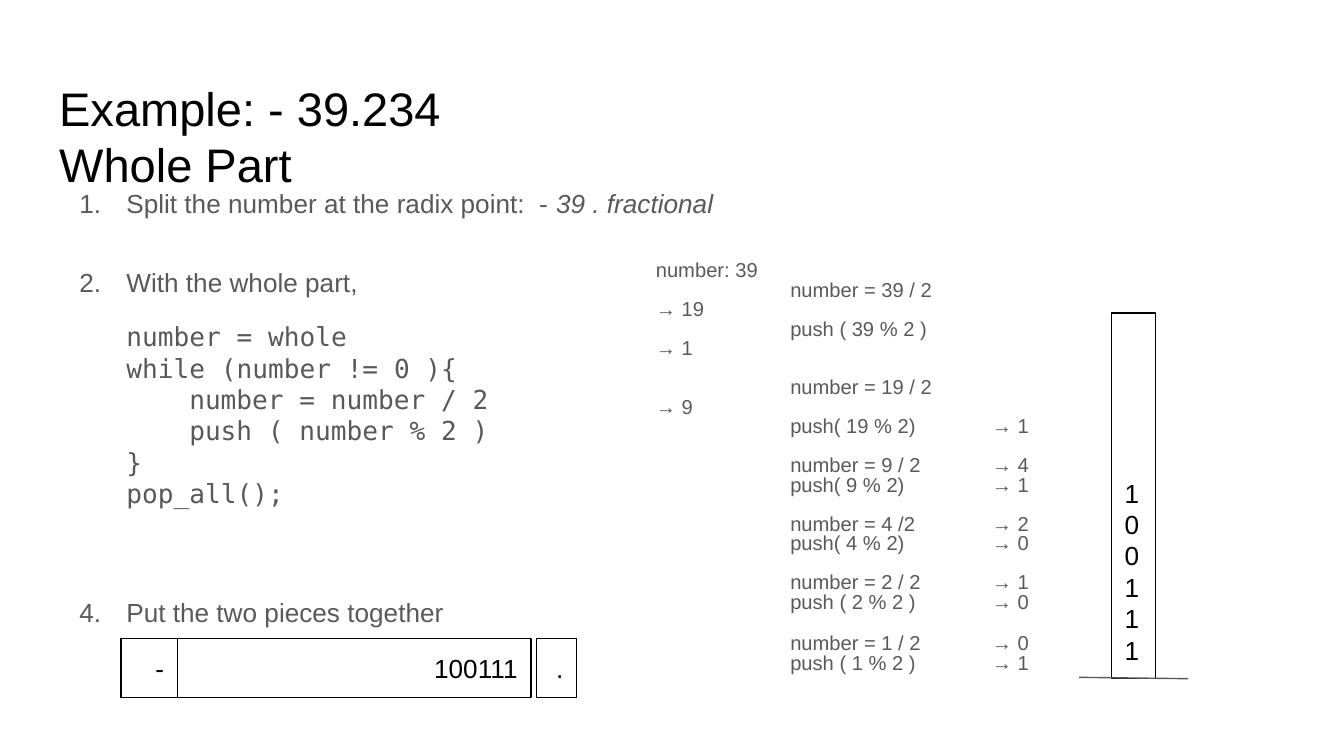
from lxml.etree import SubElement
from pptx import Presentation
from pptx.dml.color import RGBColor
from pptx.enum.shapes import MSO_CONNECTOR, MSO_SHAPE
from pptx.enum.text import MSO_ANCHOR, MSO_AUTO_SIZE, PP_ALIGN
from pptx.oxml.ns import qn
from pptx.util import Inches, Pt

INK = {"text": "595959", "dark": "000000"}
CELL = Inches(0.1)
SANS, MONO = "Arial", "DejaVu Sans Mono"
CODE = [
    (0, "number = whole"),
    (0, "while (number != 0 ){"),
    (4, "number = number / 2"),
    (4, "push ( number % 2 )"),
    (0, "}"),
    (0, "pop_all();"),
]
TRACE = [
    ["number: 39", "\tnumber = 39 / 2", "→ 19", "\tpush ( 39 % 2 )", "→ 1"],
    ["\tnumber = 19 / 2", "→ 9", "\tpush( 19 % 2)\t→ 1"],
    ["\tnumber = 9 / 2\t→ 4", "\tpush( 9 % 2)\t→ 1"],
    ["\tnumber = 4 /2\t→ 2", "\tpush( 4 % 2)\t→ 0"],
    ["\tnumber = 2 / 2\t→ 1", "\tpush ( 2 % 2 )\t→ 0"],
    ["\tnumber = 1 / 2\t→ 0", "\tpush ( 1 % 2 )\t→ 1"],
]


def grid(*cells):
    """Turn counts of grid cells into lengths."""
    return [int(cell * CELL) for cell in cells]


def frame(shape, anchor):
    """Give a shape's text frame even margins and fixed size."""
    text = shape.text_frame
    text.margin_left = text.margin_right = CELL
    text.margin_top = text.margin_bottom = CELL
    text.word_wrap = True
    text.auto_size = MSO_AUTO_SIZE.NONE
    text.vertical_anchor = anchor
    return text


def place(shape, *box):
    """Move a placeholder to a grid box and return its text frame."""
    shape.left, shape.top, shape.width, shape.height = grid(*box)
    return frame(shape, MSO_ANCHOR.TOP)


def style(para, size=14, ink="text", face=SANS, line=1.0, before=0, align=PP_ALIGN.LEFT):
    """Set the spacing, alignment and font of a paragraph."""
    para.line_spacing = line
    para.space_before, para.space_after = Pt(before), Pt(0)
    para.alignment = align
    font = para.font
    font.size, font.name, font.bold = Pt(size), face, False
    font.color.rgb = RGBColor.from_string(INK[ink])


def mark(para, start=0, left=0, hang=0):
    """Set a paragraph's indent and number."""
    props = para._p.get_or_add_pPr()
    props.set("marL", str(Inches(left)))
    props.set("indent", str(-Inches(hang)))
    if start:
        tint = SubElement(props, qn("a:buClr"))
        SubElement(tint, qn("a:srgbClr"), val=INK["text"])
        SubElement(props, qn("a:buFont"), typeface=SANS)
        SubElement(props, qn("a:buAutoNum"), type="arabicPeriod", startAt=str(start))
    else:
        SubElement(props, qn("a:buNone"))


def step(para, start, words, before=0):
    """Write one numbered step."""
    para.text = words
    mark(para, start, 0.5, 0.35)
    style(para, line=1.15, before=before)


def steps(text):
    """Write the first and last steps, leaving room between them."""
    first = text.paragraphs[0]
    step(first, 1, "Split the number at the radix point:  - ")
    run = first.add_run()
    run.text = "39 . fractional"
    run.font.italic = True
    step(text.add_paragraph(), 4, "Put the two pieces together", 200)


def code(text):
    """Write the second step and its program."""
    step(text.paragraphs[0], 2, "With the whole part,")
    for row, (depth, words) in enumerate(CODE):
        para = text.add_paragraph()
        para.text = words
        mark(para, left=0.5 + depth * 0.117)
        style(para, face=MONO, before=0 if row else 12)


def trace(text):
    """Write the rounds of the loop in columns two half-inch tabs apart."""
    for turn, lines in enumerate(TRACE):
        para = text.add_paragraph() if turn else text.paragraphs[0]
        para.text = "\v".join(lines).replace("\t", "\t\t")
        mark(para)
        gap = 0 if not turn else 12 if lines is TRACE[-1] else 10.4
        style(para, 10.8, line=Pt(10.45), before=gap)


def box(slide, words, *spot, align=PP_ALIGN.RIGHT):
    """Draw an outlined box with text at its foot."""
    shape = slide.shapes.add_shape(MSO_SHAPE.RECTANGLE, *grid(*spot))
    shape.shadow.inherit = False
    shape.fill.background()
    shape.line.color.rgb = RGBColor.from_string(INK["dark"])
    shape.line.width = Pt(0.75)
    para = frame(shape, MSO_ANCHOR.BOTTOM).paragraphs[0]
    para.text = words
    style(para, ink="dark", align=align)


def floor(slide, *ends):
    """Draw the line that the stack stands on."""
    line = slide.shapes.add_connector(MSO_CONNECTOR.STRAIGHT, *grid(*ends))
    line.line.color.rgb = RGBColor.from_string(INK["text"])
    line.line.width = Pt(0.75)
    SubElement(line._element.spPr, qn("a:effectLst"))


def main():
    """Build the slide and save it."""
    deck = Presentation()
    deck.slide_width = Inches(10)
    deck.slide_height = deck.slide_width * 9 // 16
    slide = deck.slides.add_slide(deck.slide_layouts[4])
    title, outer, left, right, spare = slide.placeholders
    spare._element.getparent().remove(spare._element)

    head = place(title, 3.4, 4.9, 93.2, 6.3).paragraphs[0]
    head.text = "Example: - 39.234\vWhole Part"
    style(head, 25.2, "dark")
    steps(place(outer, 3.4, 12.6, 91, 37.4))
    trace(place(right, 47.8, 18.5, 33, 29.8))
    code(place(left, 3.4, 18.5, 43.7, 29.8))

    box(slide, "100111", 82.7, 23.3, 3.3, 27.2, align=PP_ALIGN.LEFT)
    floor(slide, 88.4, 50.5, 80.3, 50.4)
    for words, x, wide in (("100111", 9, 30.5), (".", 39.9, 3), ("-", 9, 4.2)):
        box(slide, words, x, 47.5, wide, 4.4)
    deck.save("out.pptx")


if __name__ == "__main__":
    main()
